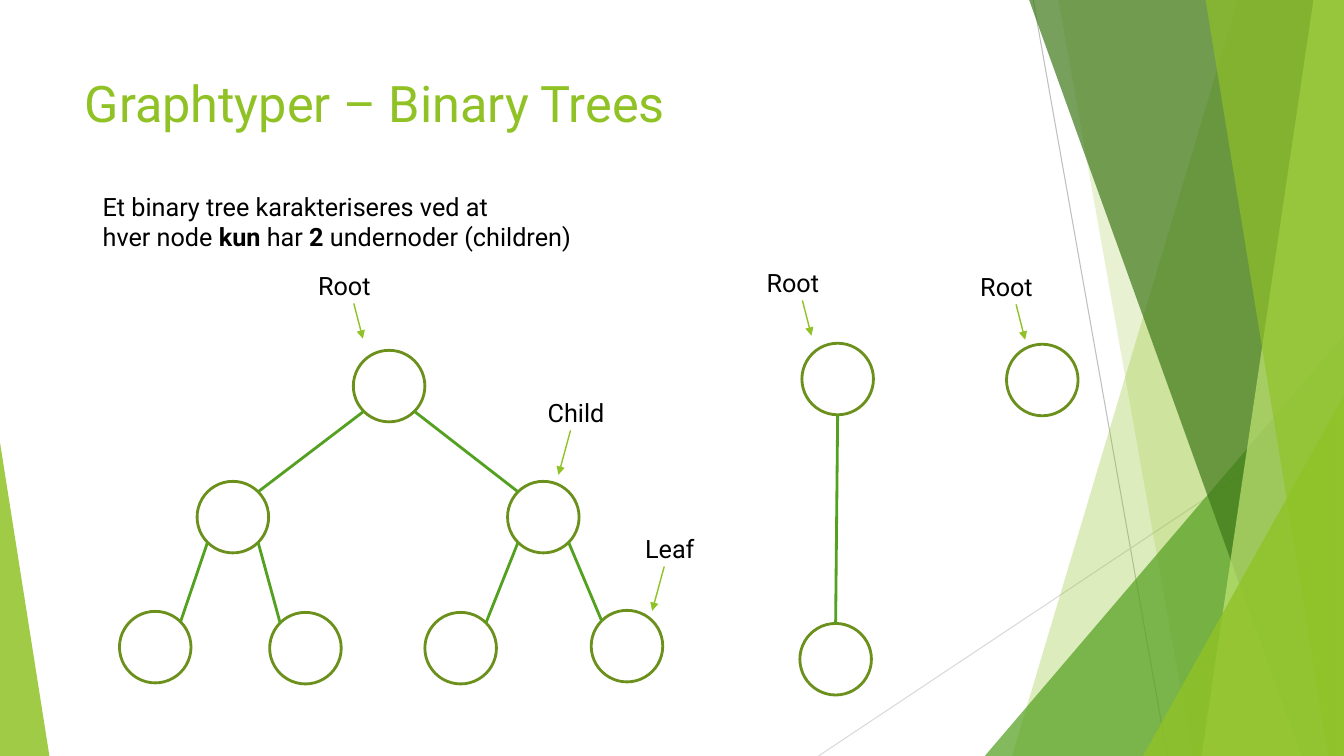
from dataclasses import dataclass
from math import sqrt

from lxml.etree import SubElement
from pptx import Presentation
from pptx.dml.color import RGBColor
from pptx.enum.shapes import MSO_CONNECTOR as Connector, MSO_SHAPE as Preset
from pptx.enum.text import MSO_ANCHOR as Anchor, MSO_AUTO_SIZE as AutoSize, PP_ALIGN as Align
from pptx.oxml.ns import qn
from pptx.util import Inches, Pt

COLUMNS, ROWS = 133.33, 75
CELL = Inches(0.1)
DIAMETER = 7.1


@dataclass(frozen=True)
class Theme:
    font: str = "Roboto"
    title_size: int = 36
    body_size: int = 18
    lime: str = "90C226"
    green: str = "54A021"
    forest: str = "3F7819"
    pale: str = "C0E474"
    olive: str = "6B901C"
    text: str = "000000"
    grey: str = "BFBFBF"
    light_grey: str = "D9D9D9"


THEME = Theme()


def cells(*values):
    return [round(value * CELL) for value in values]


def color(code):
    return RGBColor.from_string(code)


def paint(shape, code, opacity):
    shape.shadow.inherit = False
    shape.line.fill.background()
    shape.fill.solid()
    shape.fill.fore_color.rgb = color(code)
    solid = shape.fill._xPr.find(qn("a:solidFill"))
    SubElement(solid[0], qn("a:alpha"), val=str(opacity * 1000))


def add_facet(slide, top_left, top_right, bottom_left, code, opacity):
    points = [(top_left, 0), (top_right, 0), (COLUMNS, ROWS), (bottom_left, ROWS)]
    corners = [tuple(cells(*point)) for point in points]
    builder = slide.shapes.build_freeform(*corners[0])
    builder.add_line_segments(corners[1:], close=True)
    paint(builder.convert_to_shape(), code, opacity)


def add_triangle(slide, left, top, width, apex, code, opacity):
    shape = slide.shapes.add_shape(
        Preset.ISOSCELES_TRIANGLE, *cells(left, top, width, ROWS - top))
    shape.adjustments[0] = apex
    paint(shape, code, opacity)


def add_line(slide, start, end, code, weight, arrow=False):
    line = slide.shapes.add_connector(Connector.STRAIGHT, *cells(*start, *end))
    line.line.color.rgb = color(code)
    line.line.width = Pt(weight)
    if arrow:
        SubElement(line.line._get_or_add_ln(), qn("a:tailEnd"), type="triangle")
    SubElement(line._element.spPr, qn("a:effectLst"))


def add_run(paragraph, text, size, code, bold=False):
    run = paragraph.add_run()
    run.text = text
    run.font.name = THEME.font
    run.font.size = Pt(size)
    run.font.bold = bold
    run.font.color.rgb = color(code)


def add_text(slide, box, lines, align=Align.LEFT):
    frame = slide.shapes.add_textbox(*cells(*box)).text_frame
    frame.word_wrap = True
    for index, runs in enumerate(lines):
        paragraph = frame.add_paragraph() if index else frame.paragraphs[0]
        paragraph.alignment = align
        for text, bold in runs:
            add_run(paragraph, text, THEME.body_size, THEME.text, bold)


def set_title(slide, text):
    title = slide.shapes.title
    title.left, title.top, title.width, title.height = cells(7.4, 6.7, 94, 14.4)
    frame = title.text_frame
    frame.auto_size = AutoSize.NONE
    frame.vertical_anchor = Anchor.TOP
    paragraph = frame.paragraphs[0]
    paragraph.alignment = Align.LEFT
    add_run(paragraph, text, THEME.title_size, THEME.lime)


def add_node(slide, center):
    radius = DIAMETER / 2
    x, y = center
    shape = slide.shapes.add_shape(
        Preset.OVAL, *cells(x - radius, y - radius, DIAMETER, DIAMETER))
    shape.shadow.inherit = False
    shape.fill.background()
    shape.line.color.rgb = color(THEME.olive)
    shape.line.width = Pt(2)


def add_edge(slide, parent, child, side):
    radius = DIAMETER / 2
    across = side * radius / sqrt(2)
    down = radius / sqrt(2) if side else radius
    start = parent[0] + across, parent[1] + down
    end = child[0] - across, child[1] - down
    add_line(slide, start, end, THEME.green, 2)


def add_callout(slide, text, left, top, start, end):
    add_text(slide, (left, top, 9.5, 4), [[(text, False)]], Align.CENTER)
    tail, head = [(left + x, top + y) for x, y in (start, end)]
    add_line(slide, tail, head, THEME.lime, 1, arrow=True)


def add_backdrop(slide):
    add_line(slide, (102.5, 0), (115.8, ROWS), THEME.grey, 0.75)
    add_line(slide, (COLUMNS, 40.3), (81.2, ROWS), THEME.light_grey, 0.75)
    add_facet(slide, 122.8, COLUMNS, 100.4, THEME.lime, 30)
    add_facet(slide, 105, COLUMNS, 118.3, THEME.lime, 20)
    add_triangle(slide, 97.7, 33.3, 35.6, 1, THEME.green, 72)
    add_facet(slide, 102.1, COLUMNS, 129.1, THEME.forest, 70)
    add_facet(slide, 130.3, COLUMNS, 119.2, THEME.pale, 70)
    add_facet(slide, 119.6, COLUMNS, 131.8, THEME.lime, 65)
    add_triangle(slide, 113.4, 39.3, 19.9, 1, THEME.lime, 80)
    add_triangle(slide, 0, 43.9, 4.9, 0, THEME.lime, 85)


def add_trees(slide):
    nodes = {
        "root": (38.6, 38.3),
        "left": (23.1, 51.3),
        "right": (53.9, 51.3),
        "left leaf 1": (15.4, 64.2),
        "left leaf 2": (30.3, 64.3),
        "right leaf 1": (45.7, 64.3),
        "right leaf 2": (62.2, 64.1),
        "pair root": (83.1, 37.6),
        "pair leaf": (82.9, 65.4),
        "single root": (103.4, 37.7),
    }
    edges = [
        ("root", "left", -1),
        ("root", "right", 1),
        ("left", "left leaf 1", -1),
        ("left", "left leaf 2", 1),
        ("right", "right leaf 1", -1),
        ("right", "right leaf 2", 1),
        ("pair root", "pair leaf", 0),
    ]
    for center in nodes.values():
        add_node(slide, center)
    for parent, child, side in edges:
        add_edge(slide, nodes[parent], nodes[child], side)


def add_callouts(slide):
    for left, top in ((29.4, 26.3), (73.9, 26), (95.1, 26.4)):
        add_callout(slide, "Root", left, top, (5.7, 3.8), (6.6, 7.3))
    for text, left, top in (("Leaf", 61.7, 52.4), ("Child", 52.4, 38.9)):
        add_callout(slide, text, left, top, (4.2, 3.8), (3, 8.2))


def main():
    presentation = Presentation()
    presentation.slide_width, presentation.slide_height = cells(COLUMNS, ROWS)
    slide = presentation.slides.add_slide(presentation.slide_layouts[5])
    add_backdrop(slide)
    set_title(slide, "Graphtyper – Binary Trees")
    add_trees(slide)
    add_callouts(slide)
    add_text(slide, (9.2, 18.5, 55.5, 7.1), [
        [("Et binary tree karakteriseres ved at", False)],
        [("hver node ", False), ("kun ", True), ("har ", False), ("2 ", True),
         ("undernoder (children)", False)],
    ])
    presentation.save("out.pptx")


if __name__ == "__main__":
    main()
